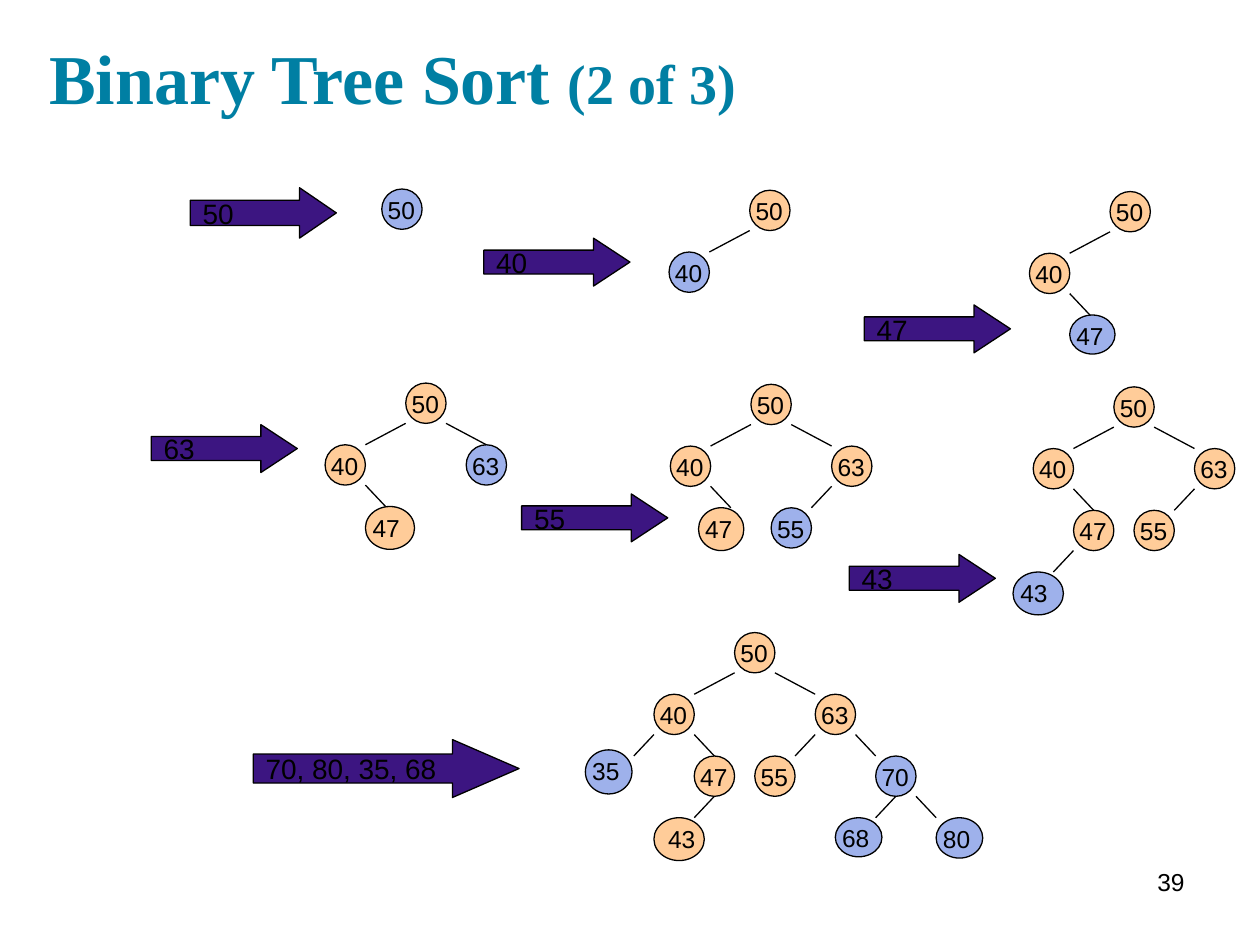
from dataclasses import dataclass

from lxml import etree
from pptx import Presentation
from pptx.dml.color import RGBColor
from pptx.enum.shapes import MSO_CONNECTOR, MSO_SHAPE
from pptx.enum.text import MSO_ANCHOR, MSO_AUTO_SIZE, PP_ALIGN
from pptx.oxml.ns import qn
from pptx.util import Inches, Pt

OVAL, ARROW = MSO_SHAPE.OVAL, MSO_SHAPE.RIGHT_ARROW
STRAIGHT = MSO_CONNECTOR.STRAIGHT
TOP, MIDDLE, BOTTOM = MSO_ANCHOR.TOP, MSO_ANCHOR.MIDDLE, MSO_ANCHOR.BOTTOM
LEFT, RIGHT = PP_ALIGN.LEFT, PP_ALIGN.RIGHT
NO_FIT = MSO_AUTO_SIZE.NONE

COLORS = {
    "title": "007FA3",
    "ink": "000000",
    "old": "FFCC99",
    "new": "0033CC",
    "arrow": "3C1581",
}
NEW_OPACITY = 38
COL = 0.16  # half a node
ROW = 0.49
NODE = 0.32


@dataclass(frozen=True)
class Node:
    """A tree node; col and row count from the root, edge gives the end columns of its line."""
    text: str
    col: float
    row: float
    edge: tuple[int, int] | None = None
    new: bool = False
    width: float = NODE
    height: float = NODE


@dataclass(frozen=True)
class Tree:
    left: float
    top: float
    nodes: list[Node]


@dataclass(frozen=True)
class Arrow:
    text: str
    left: float
    top: float
    width: float = 1.16
    height: float = 0.38
    head: float = 0.76


ROOT = Node("50", 0, 0)
N40 = Node("40", -4, 1, (0, -2))
N63 = Node("63", 4, 1, (2, 4))
N47 = Node("47", -2, 2, (-2, -1))
N55 = Node("55", 1, 2, (4, 3))

TREES = [
    Tree(3.03, 1.5, [Node("50", 0, 0, new=True)]),
    Tree(5.95, 1.51, [ROOT, Node("40", -4, 1, (0, -2), True)]),
    Tree(8.81, 1.52, [ROOT, N40, Node("47", -2, 2, (-2, -1), True, 0.36, 0.31)]),
    Tree(3.22, 3.04, [ROOT, N40, Node("63", 3, 1, (2, 4), True),
                      Node("47", -2, 2, (-2, -1), False, 0.39, 0.34)]),
    Tree(5.96, 3.05, [ROOT, N40, N63,
                      Node("47", -2.6, 2, (-2, -1), False, 0.36, 0.34),
                      Node("55", 1, 2, (4, 3), True)]),
    Tree(8.84, 3.07, [ROOT, N40, N63, N47, N55,
                      Node("43", -5, 3, (-2, -3), True, 0.4, 0.34)]),
    Tree(5.83, 5.02, [ROOT, N40, N63, N47, N55,
                      Node("35", -7.4, 1.9, (-4, -5), True, 0.37, 0.35),
                      Node("70", 7, 2, (6, 7), True),
                      Node(" 43", -4, 3, (-1, -2), False, 0.4, 0.34),
                      Node("68", 5, 3, (8, 7), True, 0.37, 0.31),
                      Node("80", 10, 3, (9, 10), True, 0.37, 0.32)]),
]

ARROWS = [
    Arrow("50", 1.51, 1.49, height=0.4, head=0.73),
    Arrow("40", 3.84, 1.89),
    Arrow("47", 6.86, 2.42),
    Arrow("63", 1.2, 3.37),
    Arrow("55", 4.14, 3.92),
    Arrow("43", 6.74, 4.4),
    Arrow("70, 80, 35, 68", 2.01, 5.87, 2.11, 0.46, 1.15),
]


def color(name: str) -> RGBColor:
    return RGBColor.from_string(COLORS[name])


def add_run(p, text: str, size: int, font: str = "Arial", ink: str = "ink", bold: bool = False) -> None:
    r = p.add_run()
    r.text = text
    r.font.size, r.font.name, r.font.bold = Pt(size), font, bold
    r.font.color.rgb = color(ink)


def add_outlined(slide, kind, box: tuple[float, ...], fill: str, text: str, size: int):
    """Add a filled shape with a thin outline and left-aligned text."""
    sp = slide.shapes.add_shape(kind, *map(Inches, box))
    sp.shadow.inherit = False
    sp.fill.solid()
    sp.fill.fore_color.rgb = color(fill)
    sp.line.color.rgb = color("ink")
    sp.line.width = Pt(0.75)
    p = sp.text_frame.paragraphs[0]
    p.alignment = LEFT
    add_run(p, text, size)
    return sp


def add_node(slide, tree: Tree, node: Node) -> None:
    box = (tree.left + node.col * COL, tree.top + node.row * ROW, node.width, node.height)
    sp = add_outlined(slide, OVAL, box, "new" if node.new else "old", node.text, 14)
    if node.new:
        rgb = sp.fill._xPr.find(qn("a:solidFill")).find(qn("a:srgbClr"))
        etree.SubElement(rgb, qn("a:alpha")).set("val", str(NEW_OPACITY * 1000))
    tf = sp.text_frame
    tf.vertical_anchor = TOP
    tf.margin_left = tf.margin_right = tf.margin_top = tf.margin_bottom = 0


def add_edge(slide, tree: Tree, node: Node) -> None:
    x1, x2 = (tree.left + col * COL for col in node.edge)
    level = round(node.row)
    y1, y2 = tree.top + (level - 1) * ROW + NODE, tree.top + level * ROW
    line = slide.shapes.add_connector(STRAIGHT, *map(Inches, (x1, y1, x2, y2)))
    line.line.color.rgb = color("ink")
    line.line.width = Pt(0.75)
    etree.SubElement(line._element.spPr, qn("a:effectLst"))


def add_arrow(slide, arrow: Arrow) -> None:
    box = (arrow.left, arrow.top, arrow.width, arrow.height)
    sp = add_outlined(slide, ARROW, box, "arrow", arrow.text, 16)
    sp.adjustments[0], sp.adjustments[1] = 0.5, arrow.head
    sp.text_frame.vertical_anchor = MIDDLE
    sp.text_frame.word_wrap = False


def add_title(slide) -> None:
    title = slide.shapes.title
    title.left, title.top = Inches(0.29), Inches(0.17)
    title.width, title.height = Inches(9.21), Inches(0.87)
    tf = title.text_frame
    tf.auto_size, tf.vertical_anchor = NO_FIT, BOTTOM
    tf.margin_left = tf.margin_right = tf.margin_top = tf.margin_bottom = Inches(0.1)
    p = tf.paragraphs[0]
    p.alignment = LEFT
    for text, size in (("Binary Tree Sort ", 40), ("(2 of 3)", 32)):
        add_run(p, text, size, "Times New Roman", "title", True)


def add_page_number(slide) -> None:
    box = slide.shapes.add_textbox(*map(Inches, (7.17, 6.83, 2.33, 0.52)))
    box.text_frame.word_wrap = True
    p = box.text_frame.paragraphs[0]
    p.alignment = RIGHT
    add_run(p, "39", 14)


def main() -> None:
    prs = Presentation()
    prs.slide_width, prs.slide_height = Inches(10), Inches(7.5)
    slide = prs.slides.add_slide(prs.slide_layouts[5])
    add_title(slide)
    add_page_number(slide)
    for tree in TREES:
        for node in tree.nodes:
            if node.edge:
                add_edge(slide, tree, node)
            add_node(slide, tree, node)
    for arrow in ARROWS:
        add_arrow(slide, arrow)
    prs.save("out.pptx")


if __name__ == "__main__":
    main()
